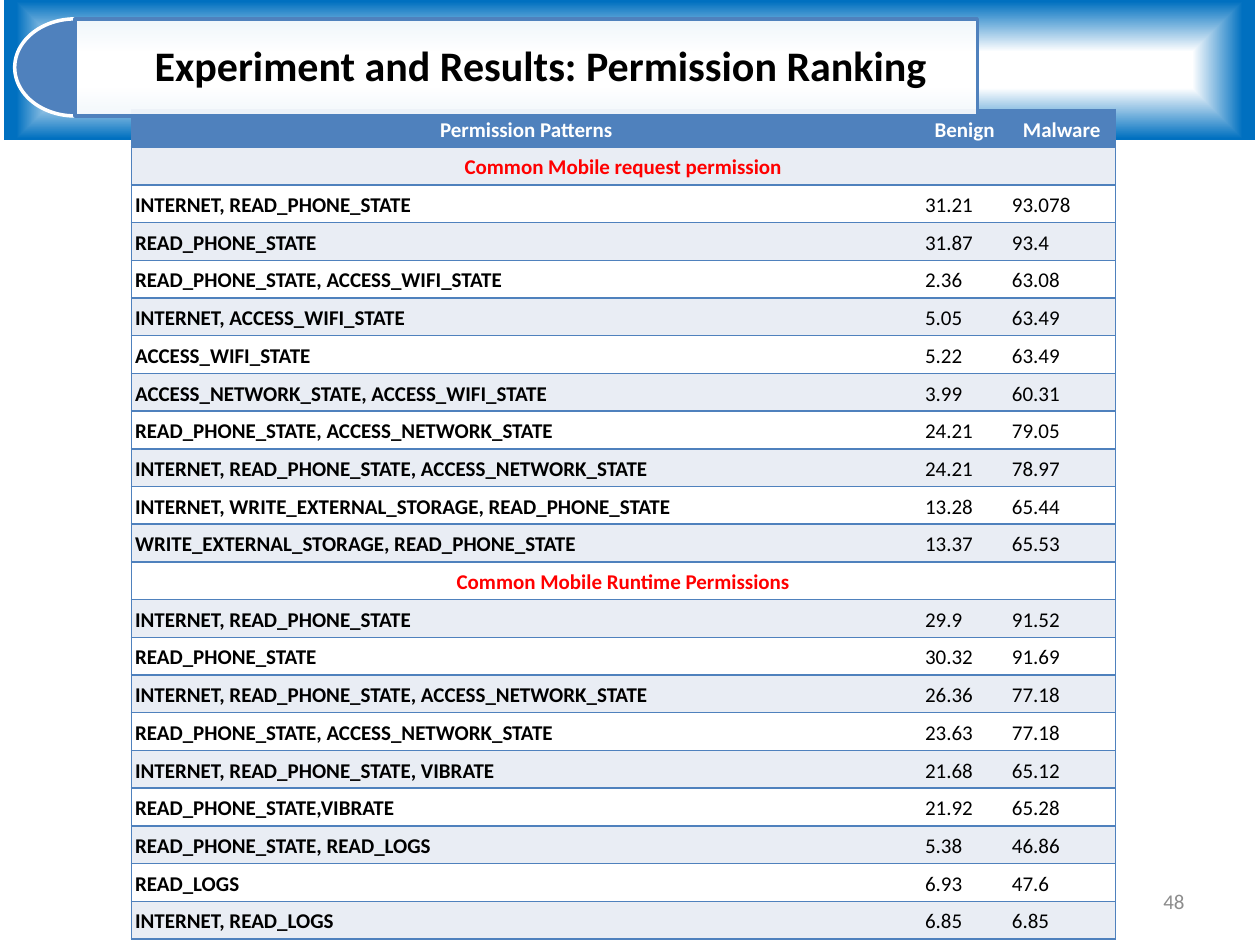
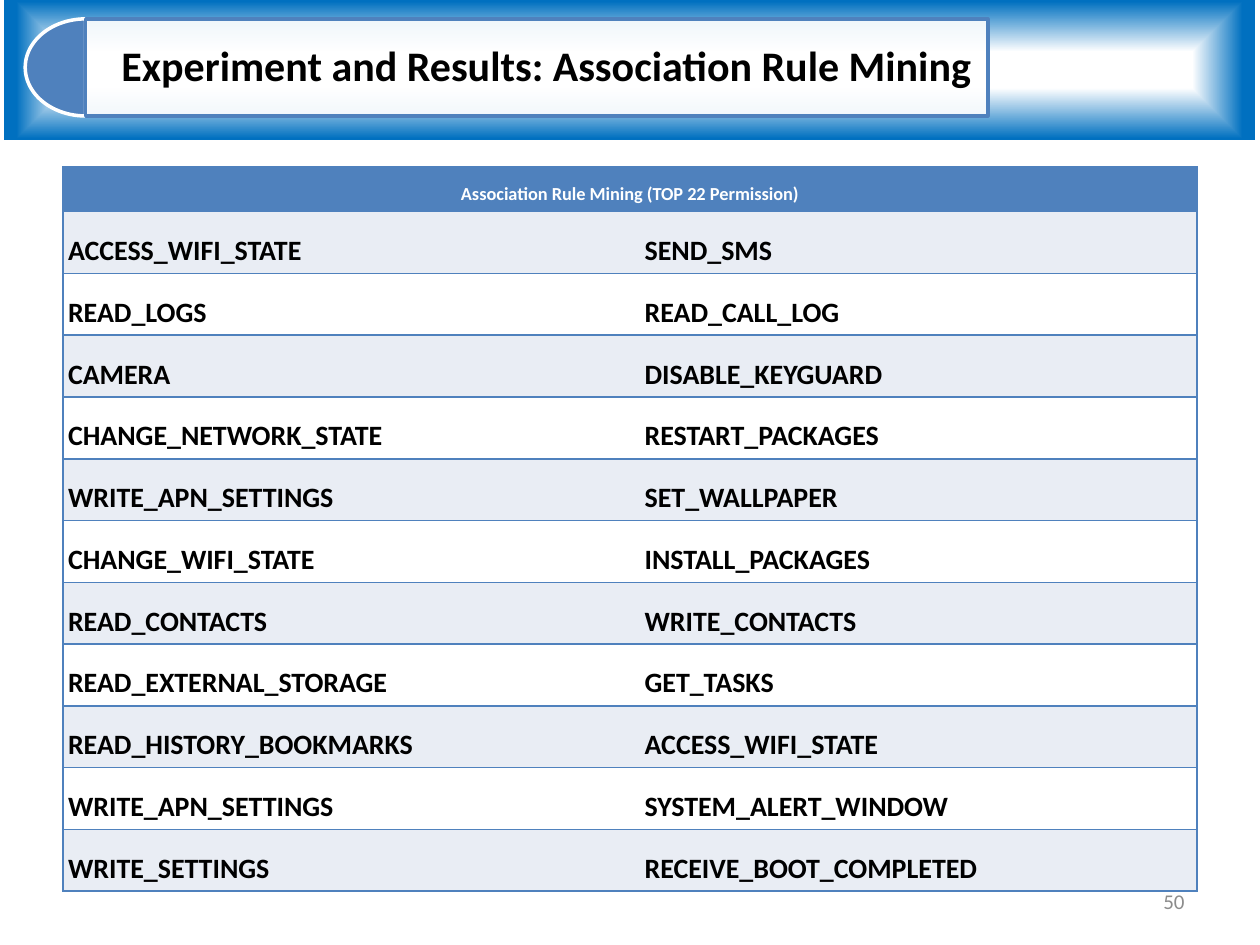
from dataclasses import dataclass

from lxml import etree
from pptx import Presentation
from pptx.dml.color import RGBColor
from pptx.enum import shapes, text
from pptx.oxml import ns
from pptx.util import Pt


@dataclass(frozen=True)
class Theme:
    font: str = "Calibri"
    accent: RGBColor = RGBColor(0x4F, 0x81, 0xBD)
    band: RGBColor = RGBColor(0x00, 0x70, 0xC0)
    stripe: RGBColor = RGBColor(0xE9, 0xED, 0xF4)
    white: RGBColor = RGBColor(0xFF, 0xFF, 0xFF)
    ink: RGBColor = RGBColor(0, 0, 0)
    section: RGBColor = RGBColor(0xFF, 0, 0)
    muted: RGBColor = RGBColor(0x8C, 0x8C, 0x8C)
    title_size: float = 24
    ranking_size: float = 12
    mining_head_size: float = 10.5
    mining_size: float = 16
    number_size: float = 12


@dataclass(frozen=True)
class TableStyle:
    left: float
    top: float
    widths: tuple
    head_height: float
    row_height: float
    head_size: float
    body_size: float
    margin: float
    line_spacing: float
    body_align: text.PP_ALIGN
    bold_columns: tuple


THEME = Theme()
BANNER_TOP, BANNER_HEIGHT = 10.8, 55.5
CENTER = text.PP_ALIGN.CENTER

RANKING_STYLE = TableStyle(
    left=75, top=62.6, widths=(451.4, 49.7, 61.2), head_height=21.56, row_height=21.56,
    head_size=THEME.ranking_size, body_size=THEME.ranking_size, margin=2.2,
    line_spacing=1.15, body_align=text.PP_ALIGN.LEFT, bold_columns=(0,))
MINING_STYLE = TableStyle(
    left=36, top=95.5, widths=(329.5, 318.5), head_height=25.5, row_height=35.3,
    head_size=THEME.mining_head_size, body_size=THEME.mining_size, margin=2.9,
    line_spacing=1.5, body_align=text.PP_ALIGN.JUSTIFY, bold_columns=(0, 1))

# A row with a single entry spans the whole table.
RANKING_ROWS = [
    ("Permission Patterns", "Benign", "Malware"),
    ("Common Mobile request permission",),
    ("INTERNET, READ_PHONE_STATE", "31.21", "93.078"),
    ("READ_PHONE_STATE", "31.87", "93.4"),
    ("READ_PHONE_STATE, ACCESS_WIFI_STATE", "2.36", "63.08"),
    ("INTERNET, ACCESS_WIFI_STATE", "5.05", "63.49"),
    ("ACCESS_WIFI_STATE", "5.22", "63.49"),
    ("ACCESS_NETWORK_STATE, ACCESS_WIFI_STATE", "3.99", "60.31"),
    ("READ_PHONE_STATE, ACCESS_NETWORK_STATE", "24.21", "79.05"),
    ("INTERNET, READ_PHONE_STATE, ACCESS_NETWORK_STATE", "24.21", "78.97"),
    ("INTERNET, WRITE_EXTERNAL_STORAGE, READ_PHONE_STATE", "13.28", "65.44"),
    ("WRITE_EXTERNAL_STORAGE, READ_PHONE_STATE", "13.37", "65.53"),
    ("Common Mobile Runtime Permissions",),
    ("INTERNET, READ_PHONE_STATE", "29.9", "91.52"),
    ("READ_PHONE_STATE", "30.32", "91.69"),
    ("INTERNET, READ_PHONE_STATE, ACCESS_NETWORK_STATE", "26.36", "77.18"),
    ("READ_PHONE_STATE, ACCESS_NETWORK_STATE", "23.63", "77.18"),
    ("INTERNET, READ_PHONE_STATE, VIBRATE", "21.68", "65.12"),
    ("READ_PHONE_STATE,VIBRATE", "21.92", "65.28"),
    ("READ_PHONE_STATE, READ_LOGS", "5.38", "46.86"),
    ("READ_LOGS", "6.93", "47.6"),
    ("INTERNET, READ_LOGS", "6.85", "6.85"),
]
MINING_ROWS = [
    ("Association Rule Mining (TOP 22 Permission)",),
    ("ACCESS_WIFI_STATE", "SEND_SMS"),
    ("READ_LOGS", "READ_CALL_LOG"),
    ("CAMERA", "DISABLE_KEYGUARD"),
    ("CHANGE_NETWORK_STATE", "RESTART_PACKAGES"),
    ("WRITE_APN_SETTINGS", "SET_WALLPAPER"),
    ("CHANGE_WIFI_STATE", "INSTALL_PACKAGES"),
    ("READ_CONTACTS", "WRITE_CONTACTS"),
    ("READ_EXTERNAL_STORAGE", "GET_TASKS"),
    ("READ_HISTORY_BOOKMARKS", "ACCESS_WIFI_STATE"),
    ("WRITE_APN_SETTINGS", "SYSTEM_ALERT_WINDOW"),
    ("WRITE_SETTINGS", "RECEIVE_BOOT_COMPLETED"),
]


def write(frame, words, size, color, bold=False, align=CENTER, spacing=1.0):
    frame.text = words
    paragraph = frame.paragraphs[0]
    paragraph.alignment = align
    paragraph.line_spacing = spacing
    font = paragraph.runs[0].font
    font.name, font.size, font.bold = THEME.font, Pt(size), bold
    font.color.rgb = color


def add_block(slide, preset, left, top, width, height, fill=None, line=None):
    block = slide.shapes.add_shape(preset, Pt(left), Pt(top), Pt(width), Pt(height))
    block.shadow.inherit = False
    if fill is not None:
        block.fill.solid()
        block.fill.fore_color.rgb = fill
    if line is None:
        block.line.fill.background()
    else:
        block.line.color.rgb = line
        block.line.width = Pt(2)
    return block


def add_header_band(slide):
    """Band that fades from a white centre to blue edges."""
    band = add_block(slide, shapes.MSO_SHAPE.RECTANGLE, 2.2, 0, 715, 80)
    band.fill.gradient()
    stops = zip(band.fill.gradient_stops, (0.26, 0.98), (THEME.white, THEME.band))
    for stop, position, color in stops:
        stop.position = position
        stop.color.rgb = color
    gradient = band._element.spPr.find(ns.qn("a:gradFill"))
    gradient.remove(gradient.find(ns.qn("a:lin")))
    fade = etree.SubElement(gradient, ns.qn("a:path"), path="rect")
    etree.SubElement(fade, ns.qn("a:fillToRect"), l="50000", t="50000", r="50000", b="50000")


def add_title_plaque(slide, left, words):
    """Half disc and white plate, with the title placeholder on top."""
    disc_width = 69.2
    disc = add_block(slide, shapes.MSO_SHAPE.PIE, left - disc_width / 2, BANNER_TOP,
                     disc_width, BANNER_HEIGHT, THEME.accent, THEME.white)
    disc.adjustments[0], disc.adjustments[1] = 54, 162  # 90 to 270 degrees
    plate = add_block(slide, shapes.MSO_SHAPE.RECTANGLE, left, BANNER_TOP,
                      515.5, BANNER_HEIGHT, THEME.white, THEME.accent)
    plate_color = plate._element.spPr.find(ns.qn("a:solidFill"))[0]
    etree.SubElement(plate_color, ns.qn("a:alpha"), val="90000")

    title = slide.shapes.title
    slide.shapes._spTree.append(title._element)
    title.left, title.top = Pt(left), Pt(BANNER_TOP)
    title.width, title.height = Pt(532), Pt(BANNER_HEIGHT)
    frame = title.text_frame
    frame.word_wrap = True
    frame.auto_size = text.MSO_AUTO_SIZE.NONE
    frame.vertical_anchor = text.MSO_ANCHOR.MIDDLE
    frame.margin_left = frame.margin_right = Pt(9.4)
    frame.margin_top = frame.margin_bottom = Pt(9.4)
    write(frame, words, THEME.title_size, THEME.ink, bold=True, spacing=0.9)


def set_borders(cell, visible_sides):
    properties = cell._tc.get_or_add_tcPr()
    for side in "LRTB":
        border = etree.SubElement(properties, ns.qn("a:ln" + side), w=str(Pt(1)))
        if side in visible_sides:
            paint = etree.SubElement(border, ns.qn("a:solidFill"))
            etree.SubElement(paint, ns.qn("a:srgbClr"), val=str(THEME.accent))
        else:
            etree.SubElement(border, ns.qn("a:noFill"))


def format_cell(cell, row, column, last_column, spans, style):
    """Ruled rows inside an outer frame, with alternating stripes."""
    sides = "TB"
    if column == 0 or spans:
        sides += "L"
    if column == last_column or spans:
        sides += "R"
    set_borders(cell, sides)
    cell.fill.solid()
    cell.fill.fore_color.rgb = (
        THEME.accent if row == 0 else THEME.stripe if row % 2 else THEME.white)
    cell.margin_left = cell.margin_right = Pt(style.margin)
    cell.margin_top = cell.margin_bottom = Pt(style.margin)


def add_permission_table(slide, rows, style):
    last_column = len(style.widths) - 1
    height = style.head_height + style.row_height * (len(rows) - 1)
    table = slide.shapes.add_table(
        len(rows), len(style.widths), Pt(style.left), Pt(style.top),
        Pt(sum(style.widths)), Pt(height)).table
    table.first_row = table.horz_banding = False
    for column, width in zip(table.columns, style.widths):
        column.width = Pt(width)

    for r, entries in enumerate(rows):
        table.rows[r].height = Pt(style.row_height if r else style.head_height)
        spans = len(entries) == 1
        for c in range(last_column + 1):
            format_cell(table.cell(r, c), r, c, last_column, spans, style)
        if spans:
            table.cell(r, 0).merge(table.cell(r, last_column))
        for c, entry in enumerate(entries):
            heading = r == 0 or spans
            color = THEME.white if r == 0 else THEME.section if spans else THEME.ink
            write(table.cell(r, c).text_frame, entry,
                  style.body_size if r else style.head_size, color,
                  bold=heading or c in style.bold_columns,
                  align=CENTER if heading else style.body_align,
                  spacing=style.line_spacing)


def add_page_number(slide, number):
    box = slide.shapes.add_textbox(Pt(516), Pt(500.5), Pt(168), Pt(28.75))
    box.text_frame.word_wrap = True
    box.text_frame.vertical_anchor = text.MSO_ANCHOR.MIDDLE
    write(box.text_frame, str(number), THEME.number_size, THEME.muted,
          align=text.PP_ALIGN.RIGHT)


def add_results_slide(deck, title, plaque_left, rows, style, number):
    slide = deck.slides.add_slide(deck.slide_layouts.get_by_name("Title Only"))
    add_header_band(slide)
    add_permission_table(slide, rows, style)
    add_page_number(slide, number)
    add_title_plaque(slide, plaque_left, title)


def main():
    deck = Presentation()
    deck.slide_width, deck.slide_height = Pt(720), Pt(540)
    add_results_slide(deck, "Experiment and Results: Permission Ranking", 43,
                      RANKING_ROWS, RANKING_STYLE, 48)
    add_results_slide(deck, "Experiment and Results: Association Rule Mining ", 49,
                      MINING_ROWS, MINING_STYLE, 50)
    deck.save("out.pptx")


if __name__ == "__main__":
    main()
